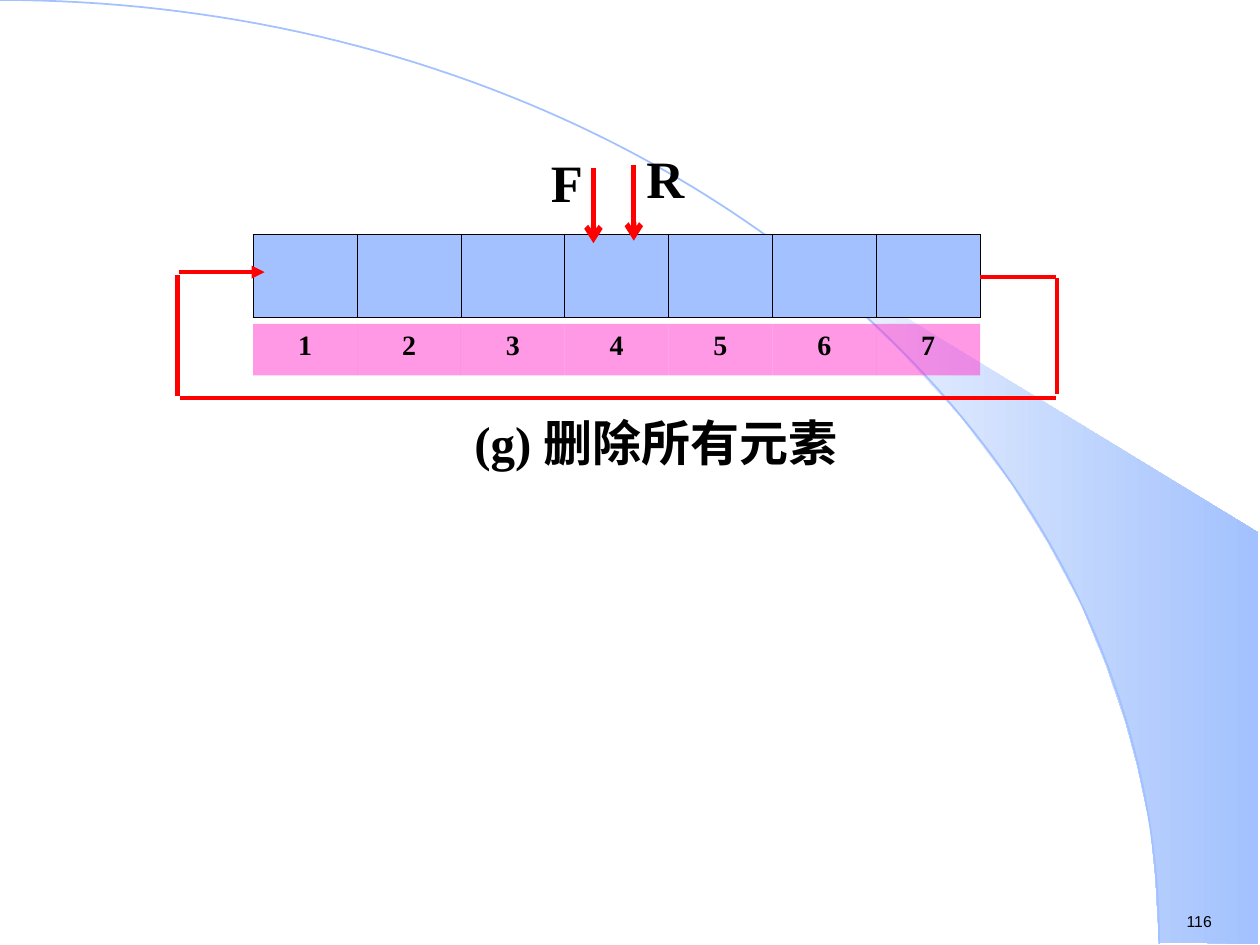
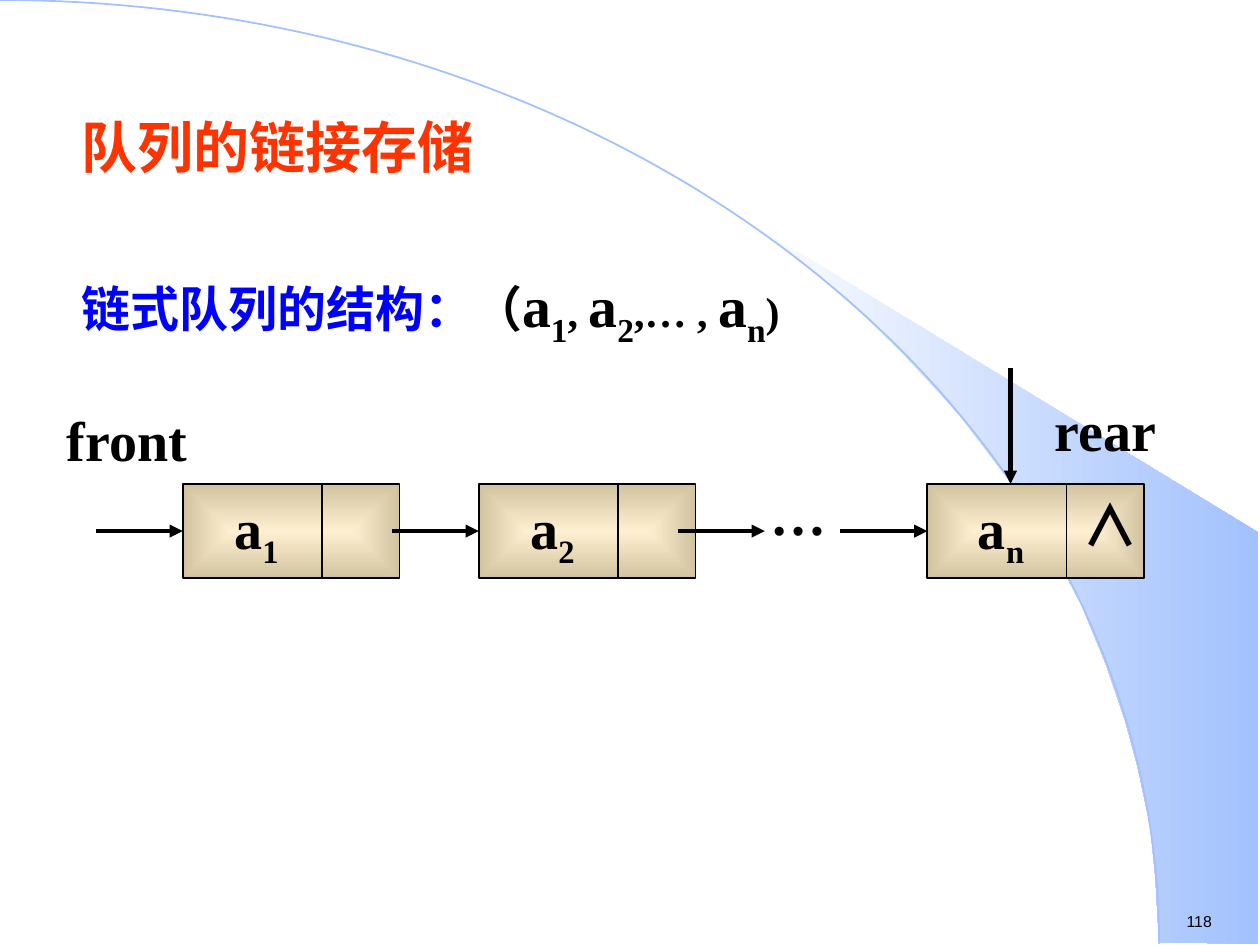
from dataclasses import dataclass
from math import cos, pi, sin

from lxml.etree import SubElement
from pptx import Presentation
from pptx.dml.color import RGBColor
from pptx.enum.shapes import MSO_CONNECTOR, MSO_SHAPE
from pptx.enum.text import PP_ALIGN
from pptx.oxml.ns import qn
from pptx.util import Inches, Pt


@dataclass(frozen=True)
class Theme:
    black: str = "000000"
    white: str = "FFFFFF"
    sky: str = "A2C1FE"
    pink: str = "FF33CC"
    red: str = "FF0000"
    title: str = "FF3300"
    heading: str = "0000FF"
    cream: str = "FFEFD1"
    sand: str = "D1C39F"
    serif: str = "Times New Roman"
    sans: str = "Arial"
    chinese: str = "Noto Sans CJK SC"
    number_size: float = 9
    index_size: float = 16
    small_size: float = 24
    caption_size: float = 28
    pointer_size: float = 30
    label_size: float = 32
    symbol_size: float = 33


theme = Theme()
presentation = Presentation()
presentation.slide_width, presentation.slide_height = Inches(10), Inches(7.5)
column = presentation.slide_width // 100
row = presentation.slide_height // 75


def add_text(slide, box, paragraphs, size, alignment=PP_ALIGN.LEFT, latin=theme.serif, margins=(1, 0.5), bold=True):
    left, top, width, height = box
    shape = slide.shapes.add_textbox(
        round(left * column), round(top * row), round(width * column), round(height * row))
    frame = shape.text_frame
    frame.word_wrap = True
    frame.margin_left = frame.margin_right = round(margins[0] * column)
    frame.margin_top = frame.margin_bottom = round(margins[1] * row)
    for number, runs in enumerate(paragraphs):
        paragraph = frame.add_paragraph() if number else frame.paragraphs[0]
        paragraph.alignment = alignment
        for text, color, run_size, baseline in runs:
            run = paragraph.add_run()
            run.text = text
            run.font.name, run.font.bold = latin, bold
            run.font.size = Pt(run_size or size)
            run.font.color.rgb = RGBColor.from_string(color)
            properties = run.font._element
            SubElement(properties, qn("a:ea")).set("typeface", theme.chinese)
            if baseline:
                properties.set("baseline", str(baseline * 1000))
    return frame


def add_line(slide, start, end, color, width, arrowhead=None):
    line = slide.shapes.add_connector(
        MSO_CONNECTOR.STRAIGHT,
        round(start[0] * column), round(start[1] * row), round(end[0] * column), round(end[1] * row))
    line.line.color.rgb = RGBColor.from_string(color)
    line.line.width = Pt(width)
    if arrowhead:
        SubElement(line.line._get_or_add_ln(), qn("a:tailEnd")).set("type", arrowhead)
    SubElement(line._element.spPr, qn("a:effectLst"))
    return line


gradient_shapes = []
curve_width, curve_height = 92, 74.9
curve_steps = 90
curve_points = [
    (curve_width * sin(pi / 2 * step / curve_steps), curve_height * (1 - cos(pi / 2 * step / curve_steps)))
    for step in range(curve_steps + 1)]
wedge_points = [
    (92, 74.8), (99.9, 74.9), (99.9, 42.3), (58.9, 17.3), (62.4, 19.9), (65.3, 22.2),
    (68.5, 25), (71.6, 28), (76.2, 33), (80.3, 38.4), (83.2, 43.1), (85.8, 47.9),
    (87.8, 52.8), (89.3, 57.2), (90.3, 60.9), (91.3, 65.6), (91.7, 69.6)]

slides = []
for page_number in ("116", "118"):
    slide = presentation.slides.add_slide(presentation.slide_layouts[6])
    slides.append(slide)
    for points, closed in ((wedge_points, True), (curve_points, False)):
        corners = [(round(x * column), round(y * row)) for x, y in points]
        builder = slide.shapes.build_freeform(*corners[0], scale=1.0)
        builder.add_line_segments(corners[1:], close=closed)
        shape = builder.convert_to_shape()
        shape.shadow.inherit = False
        if closed:
            shape.line.fill.background()
            gradient_shapes.append((shape, theme.white, theme.sky, False))
        else:
            shape.fill.background()
            shape.line.color.rgb = RGBColor.from_string(theme.sky)
            shape.line.width = Pt(1)
    frame = add_text(slide, (93.2, 71.9, 7.7, 2.5), [[(page_number, theme.black, None, 0)]],
                     theme.number_size, latin=theme.sans, bold=False)
    frame.word_wrap = False

queue_slide, linked_slide = slides

cell_count = 7
queue_left, queue_width = 20.1, 57.7
for top, height, color, opacity, border, has_index in (
        (18.6, 6.6, theme.sky, 100, theme.black, False),
        (25.7, 4.1, theme.pink, 50, None, True)):
    frame = queue_slide.shapes.add_table(
        1, cell_count, round(queue_left * column), round(top * row),
        round(queue_width * column), round(height * row))
    table = frame.table
    table.first_row = table.horz_banding = False
    for index, cell in enumerate(table.iter_cells(), 1):
        cell.fill.solid()
        cell.fill.fore_color.rgb = RGBColor.from_string(color)
        properties = cell._tc.get_or_add_tcPr()
        if opacity < 100:
            SubElement(properties.find(".//" + qn("a:srgbClr")), qn("a:alpha")).set("val", str(opacity * 1000))
        for position, side in enumerate(("a:lnL", "a:lnR", "a:lnT", "a:lnB")):
            edge = SubElement(properties, qn(side))
            properties.insert(position, edge)
            if border:
                edge.set("w", str(Pt(0.45)))
                SubElement(SubElement(edge, qn("a:solidFill")), qn("a:srgbClr")).set("val", border)
            else:
                SubElement(edge, qn("a:noFill"))
        if has_index:
            cell.text_frame.text = str(index)
            paragraph = cell.text_frame.paragraphs[0]
            paragraph.alignment = PP_ALIGN.CENTER
            font = paragraph.runs[0].font
            font.name, font.size, font.bold = theme.serif, Pt(theme.index_size), True
            font.color.rgb = RGBColor.from_string(theme.black)

for start, end, arrowhead in (
        ((77.8, 22), (83.8, 22), None),
        ((83.9, 22.1), (83.9, 31.3), None),
        ((83.8, 31.6), (14.3, 31.6), None),
        ((14.1, 31.4), (14.1, 21.8), None),
        ((14.2, 21.6), (21, 21.6), "triangle")):
    add_line(queue_slide, start, end, theme.red, 2.5, arrowhead)

for name, label_left, label_top, arrow_x, arrow_top in (
        ("F", 42.8, 12.3, 47.1, 13.3), ("R", 50.6, 12, 50.3, 13.1)):
    add_line(queue_slide, (arrow_x, arrow_top), (arrow_x, arrow_top + 6), theme.red, 3, "arrow")
    frame = add_text(queue_slide, (label_left, label_top, 4.4, 4.8), [[(name, theme.black, None, 0)]],
                     theme.pointer_size, PP_ALIGN.CENTER, margins=(0, 0))
    frame.paragraphs[0].line_spacing = Pt(33)

frame = add_text(queue_slide, (31.1, 32.8, 41.9, 5.2),
                 [[("(g) ", theme.black, None, 0), ("删除所有元素", theme.black, None, 0)]],
                 theme.caption_size, PP_ALIGN.CENTER, margins=(0, 0))
frame.paragraphs[0].line_spacing = Pt(33)

sequence = [("链式队列的结构：", theme.heading, None, 0), ("（", theme.black, None, 0)]
for subscript, separator in (("1", ", "), ("2", ",… , "), ("n", ")")):
    sequence += [
        ("a", theme.black, theme.symbol_size, 0),
        (subscript, theme.black, theme.symbol_size, -25),
        (separator, theme.black, theme.small_size, 0)]
frame = add_text(linked_slide, (5.5, 8.4, 92.5, 44.5),
                 [[("队列的链接存储", theme.title, theme.label_size, 0)], sequence], theme.caption_size)
frame.paragraphs[1].space_before = Pt(52)

node_top, node_width, node_height = 38.4, 17.2, 7.5
node_middle = node_top + node_height / 2
divider_offset, arrow_length = 11.05, 6.9
for node_left, subscript in ((14.5, "1"), (38, "2"), (73.6, "n")):
    node = linked_slide.shapes.add_shape(
        MSO_SHAPE.RECTANGLE, round(node_left * column), round(node_top * row),
        round(node_width * column), round(node_height * row))
    node.shadow.inherit = False
    node.line.color.rgb = RGBColor.from_string(theme.black)
    node.line.width = Pt(1)
    gradient_shapes.append((node, theme.cream, theme.sand, True))
    divider = node_left + divider_offset
    add_line(linked_slide, (divider, node_top), (divider, node_top + node_height), theme.black, 1)
    frame = add_text(linked_slide, (node_left + 0.7, 39.2, 10.3, 5.9),
                     [[("a", theme.black, None, 0), (subscript, theme.black, None, -25)]],
                     theme.label_size, PP_ALIGN.CENTER)
    frame.paragraphs[0].line_spacing = 0.8
    arrow = add_line(linked_slide, (node_left - arrow_length, node_middle), (node_left, node_middle),
                     theme.black, 2.5, "triangle")
    arrow.end_connect(node, 1)

for start, end in (
        ((53.8, node_middle), (53.8 + arrow_length, node_middle)),
        ((80.2, 29.2), (80.2, node_top))):
    add_line(linked_slide, start, end, theme.black, 2.5, "triangle")

for text, left, top, width, latin, alignment in (
        ("∧", 84, 38.4, 8.3, theme.chinese, PP_ALIGN.CENTER),
        ("front", 4.3, 31.7, 13.3, theme.serif, PP_ALIGN.LEFT),
        ("rear", 82.7, 30.9, 11.7, theme.serif, PP_ALIGN.LEFT),
        ("…", 60.2, 37.6, 7.5, theme.serif, PP_ALIGN.LEFT)):
    add_text(linked_slide, (left, top, width, 6.4), [[(text, theme.black, None, 0)]],
             theme.label_size, alignment, latin)

for shape, first_color, last_color, from_center in gradient_shapes:
    shape.fill.gradient()
    shape.fill.gradient_angle = 0
    for stop, color, position in zip(shape.fill.gradient_stops, (first_color, last_color), (0, 1)):
        stop.color.rgb = RGBColor.from_string(color)
        stop.position = position
    if from_center:
        gradient = shape._element.spPr.find(qn("a:gradFill"))
        gradient.remove(gradient.find(qn("a:lin")))
        center = SubElement(gradient, qn("a:path"))
        center.set("path", "rect")
        target = SubElement(center, qn("a:fillToRect"))
        for side in "ltrb":
            target.set(side, "50000")

presentation.save("out.pptx")
